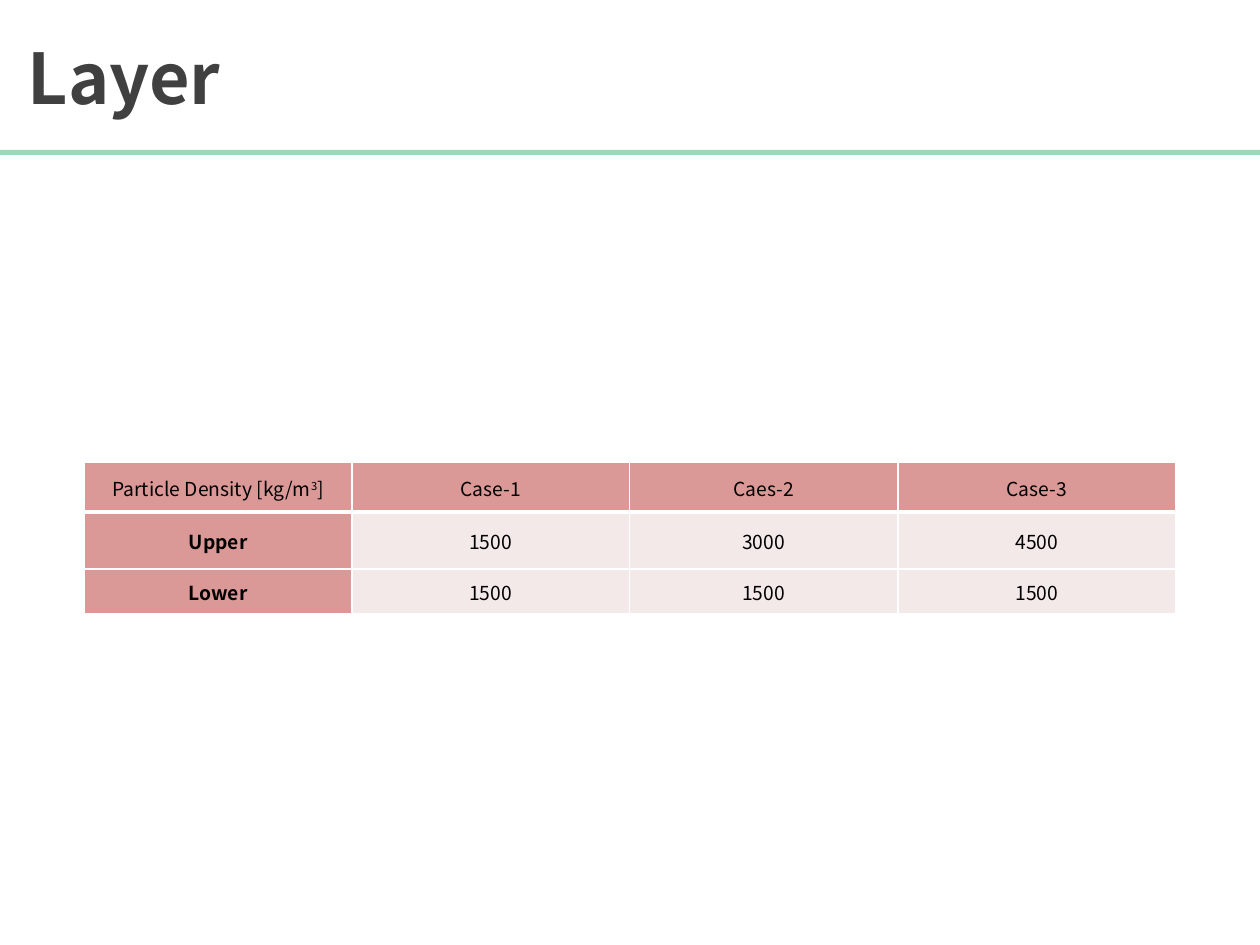
from lxml.etree import SubElement as Sub
from pptx import Presentation
from pptx.dml.color import RGBColor
from pptx.enum.shapes import MSO_SHAPE as Shape
from pptx.enum.text import MSO_ANCHOR as Anchor, PP_ALIGN as Align
from pptx.oxml.ns import qn
from pptx.util import Inches, Pt

FACE = "Noto Sans CJK KR"
HEAD, BODY, WHITE = "DA9997", "F4E9E9", "FFFFFF"
COLS = [2.12, 2.2, 2.13, 2.2]
ROWS = [0.39, 0.45, 0.35]
DATA = [
    [("Particle Density [kg/m", "3", "]"), ("Case-1",), ("Caes-2",), ("Case-3",)],
    [("Upper",), ("1500",), ("3000",), ("4500",)],
    [("Lower",), ("1500",), ("1500",), ("1500",)],
]


def tint(code):
    return RGBColor.from_string(code)


def style(font, color, **form):
    for key, val in {"name": FACE, **form}.items():
        setattr(font, key, val)
    font.color.rgb = tint(color)


def paint(shape, color):
    shape.fill.solid()
    shape.fill.fore_color.rgb = tint(color)


def edge(cell, **widths):
    """Draw white borders; widths are points keyed by side, in schema order."""
    props = cell._tc.get_or_add_tcPr()
    for side, width in widths.items():
        line = Sub(props, qn(f"a:ln{side}"), w=str(Pt(width)))
        fill = Sub(line, qn("a:solidFill"))
        Sub(fill, qn("a:srgbClr"), val=WHITE)


def add_title(slide, left, top, width, height, text):
    title = slide.shapes.title
    box = {"left": left, "top": top, "width": width, "height": height}
    for key, val in box.items():
        setattr(title, key, Inches(val))
    frame = title.text_frame
    frame.text = text
    frame.vertical_anchor = Anchor.MIDDLE
    frame.margin_left = Inches(0.22)
    para = frame.paragraphs[0]
    para.alignment = Align.LEFT
    style(para.runs[0].font, "404040", size=Pt(40), bold=True)
    rule = slide.shapes.add_shape(
        Shape.RECTANGLE, Inches(left), Inches(top + height), Inches(width), Inches(0.04))
    rule.shadow.inherit = False
    rule.line.fill.background()
    paint(rule, "99DABA")


def fill_cell(cell, parts, head, label):
    """Write the parts, every second one raised, and colour the cell."""
    form = {"margin_left": Inches(0.01), "margin_right": Inches(0.01),
            "margin_top": Inches(0.01), "margin_bottom": 0,
            "vertical_anchor": Anchor.MIDDLE}
    for key, val in form.items():
        setattr(cell, key, val)
    para = cell.text_frame.paragraphs[0]
    para.alignment = Align.CENTER
    for num, part in enumerate(parts):
        run = para.add_run()
        run.text = part
        style(run.font, "000000", size=Pt(11), bold=label and not head)
        if num % 2:
            run._r.get_or_add_rPr().set("baseline", "30000")
    edge(cell, L=1, R=1, T=1, B=3 if head else 1)
    paint(cell, HEAD if head or label else BODY)


def add_grid(slide, left, top, width, height):
    frame = slide.shapes.add_table(
        len(ROWS), len(COLS), Inches(left), Inches(top), Inches(width), Inches(height))
    table = frame.table
    for col, size in zip(table.columns, COLS):
        col.width = Inches(size * width / sum(COLS))
    for row, size in zip(table.rows, ROWS):
        row.height = Inches(size * height / sum(ROWS))
    for r, line in enumerate(DATA):
        for c, parts in enumerate(line):
            fill_cell(table.cell(r, c), parts, r == 0, c == 0)


def main():
    deck = Presentation()
    deck.slide_width, deck.slide_height = Inches(10), Inches(7.5)
    slide = deck.slides.add_slide(deck.slide_layouts[5])
    add_title(slide, 0, 0.02, 10, 1.17, "Layer")
    add_grid(slide, 0.67, 3.67, 8.66, 1.2)
    deck.save("out.pptx")


if __name__ == "__main__":
    main()
